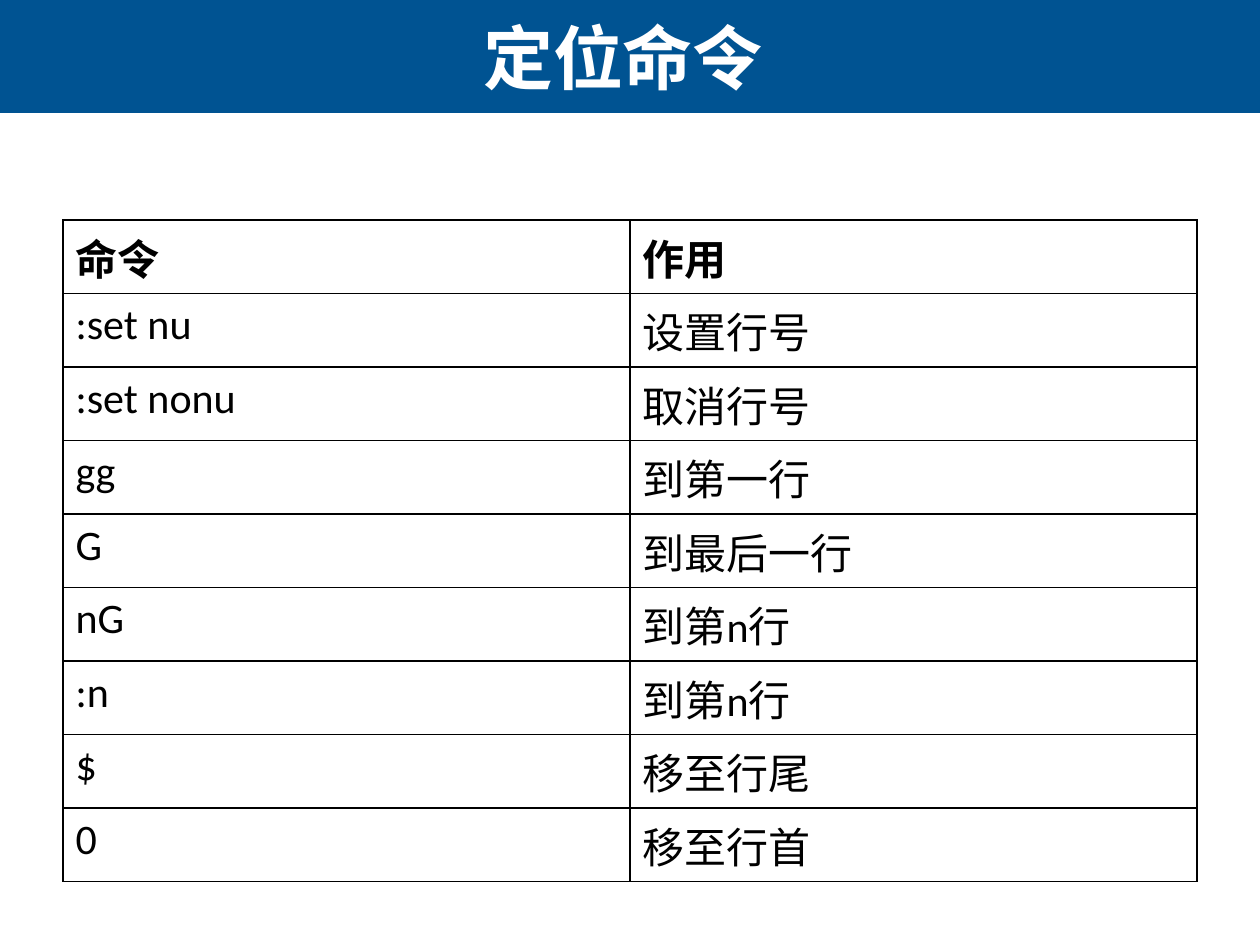
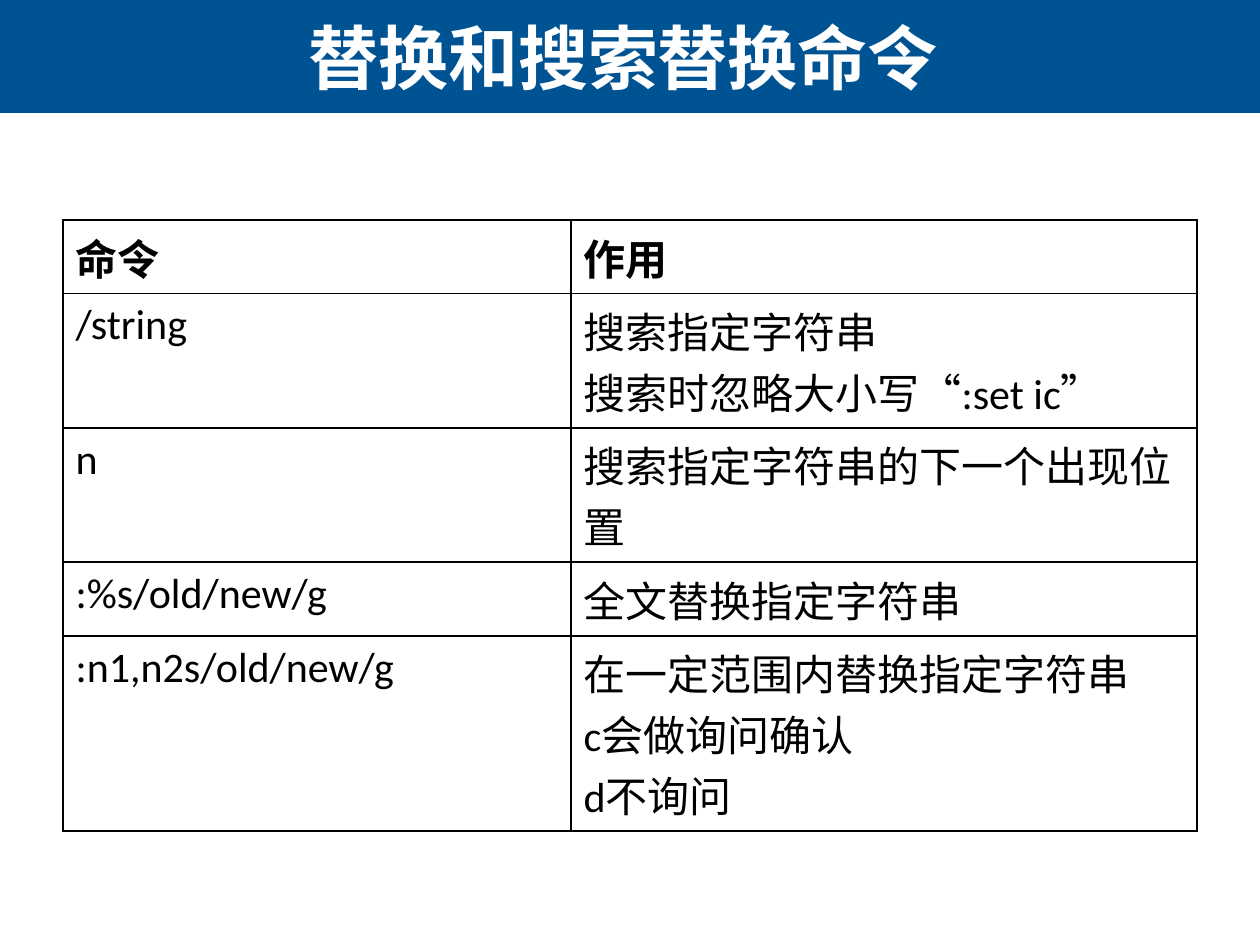
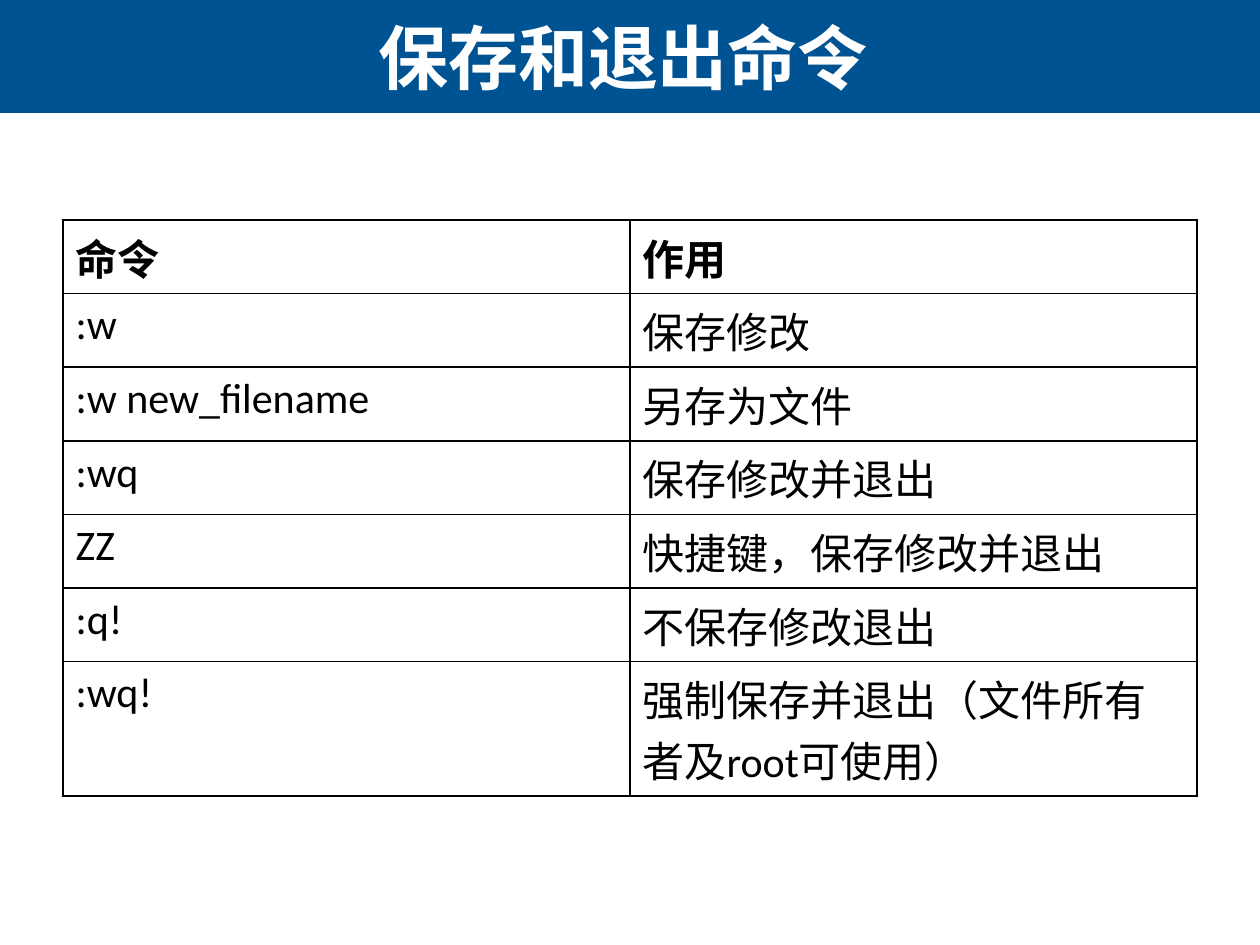
from lxml import etree
from pptx import Presentation
from pptx import util as u
from pptx.dml.color import RGBColor
from pptx.enum import lang, shapes, text
from pptx.oxml.ns import qn

EMU_PER_PX = 914400 / 126
SLIDE_W, SLIDE_H = 1260, 945
BAND_BOX = (0, 0, SLIDE_W, 113)
TITLE_BOX = (1, 0, 1244, 113)
TABLE_LEFT, TABLE_TOP = 63, 220
CELL_PADDING = 13
BLUE, WHITE, BLACK = "005392", "FFFFFF", "000000"
HEADINGS = ("命令", "作用", 1)

SLIDES = [
    ("定位命令", (567, 567), 662, [
        (":set nu", "设置行号", 1),
        (":set nonu", "取消行号", 1),
        ("gg", "到第一行", 1),
        ("G", "到最后一行", 1),
        ("nG", "到第n行", 1),
        (":n", "到第n行", 1),
        ("$", "移至行尾", 1),
        ("0", "移至行首", 1),
    ]),
    ("替换和搜索替换命令", (508, 626), 611, [
        ("/string", "搜索指定字符串\n搜索时忽略大小写“:set ic”", 2),
        ("n", "搜索指定字符串的下一个出现位置", 2),
        (":%s/old/new/g", "全文替换指定字符串", 1),
        (":n1,n2s/old/new/g", "在一定范围内替换指定字符串\nc会做询问确认\nd不询问", 3),
    ]),
    ("保存和退出命令", (567, 567), 576, [
        (":w", "保存修改", 1),
        (":w new_filename", "另存为文件", 1),
        (":wq", "保存修改并退出", 1),
        ("ZZ", "快捷键，保存修改并退出", 1),
        (":q!", "不保存修改退出", 1),
        (":wq!", "强制保存并退出（文件所有者及root可使用）", 2),
    ]),
]


def px(length):
    """Turn px into EMU."""
    return u.Emu(round(length * EMU_PER_PX))


def color(hex_string):
    """Return the colour for a hex string."""
    return RGBColor.from_string(hex_string)


def write(frame, words, font_name, size, hex_string, bold):
    """Fill a text frame and format all its runs alike."""
    frame.text = words
    for paragraph in frame.paragraphs:
        for run in paragraph.runs:
            run.font.name = font_name
            run.font.size = u.Pt(size)
            run.font.bold = bold
            run.font.color.rgb = color(hex_string)
            run.font.language_id = lang.MSO_LANGUAGE_ID.SIMPLIFIED_CHINESE


def add_header(slide, title):
    """Draw the blue band with the centred title on it."""
    band = slide.shapes.add_shape(shapes.MSO_SHAPE.RECTANGLE, *map(px, BAND_BOX))
    band.shadow.inherit = False
    band.fill.solid()
    band.fill.fore_color.rgb = color(BLUE)
    band.line.fill.background()

    heading = slide.shapes.add_textbox(*map(px, TITLE_BOX)).text_frame
    heading.word_wrap = True
    heading.vertical_anchor = text.MSO_ANCHOR.MIDDLE
    write(heading, title, "Arial", 40, WHITE, True)
    heading.paragraphs[0].alignment = text.PP_ALIGN.CENTER


def add_borders(cell):
    """Rule all four sides of a cell in black."""
    properties = cell._tc.get_or_add_tcPr()
    for side in ("a:lnL", "a:lnR", "a:lnT", "a:lnB"):
        rule = etree.SubElement(properties, qn(side), w=str(u.Pt(1)))
        fill = etree.SubElement(rule, qn("a:solidFill"))
        etree.SubElement(fill, qn("a:srgbClr"), val=BLACK)


def add_command_table(slide, left, top, widths, height, commands):
    """Draw the commands and their effects, each row as tall as its lines."""
    rows = [HEADINGS, *commands]
    table = slide.shapes.add_table(
        len(rows), len(widths), px(left), px(top),
        px(sum(widths)), px(height)).table
    table.first_row = False
    table.horz_banding = False
    for column, width in zip(table.columns, widths):
        column.width = px(width)
    line_total = sum(lines for _, _, lines in rows)
    line_height = (height - CELL_PADDING * len(rows)) / line_total
    for r, (command, effect, lines) in enumerate(rows):
        table.rows[r].height = px(CELL_PADDING + line_height * lines)
        for c, words in enumerate((command, effect)):
            cell = table.cell(r, c)
            write(cell.text_frame, words, "Calibri", 24, BLACK, r == 0)
            add_borders(cell)
            cell.fill.background()


def main():
    """Build the slides and save them."""
    deck = Presentation()
    deck.slide_width, deck.slide_height = px(SLIDE_W), px(SLIDE_H)
    for title, widths, height, commands in SLIDES:
        slide = deck.slides.add_slide(deck.slide_layouts[6])
        add_header(slide, title)
        add_command_table(slide, TABLE_LEFT, TABLE_TOP, widths, height, commands)
    deck.save("out.pptx")


if __name__ == "__main__":
    main()
